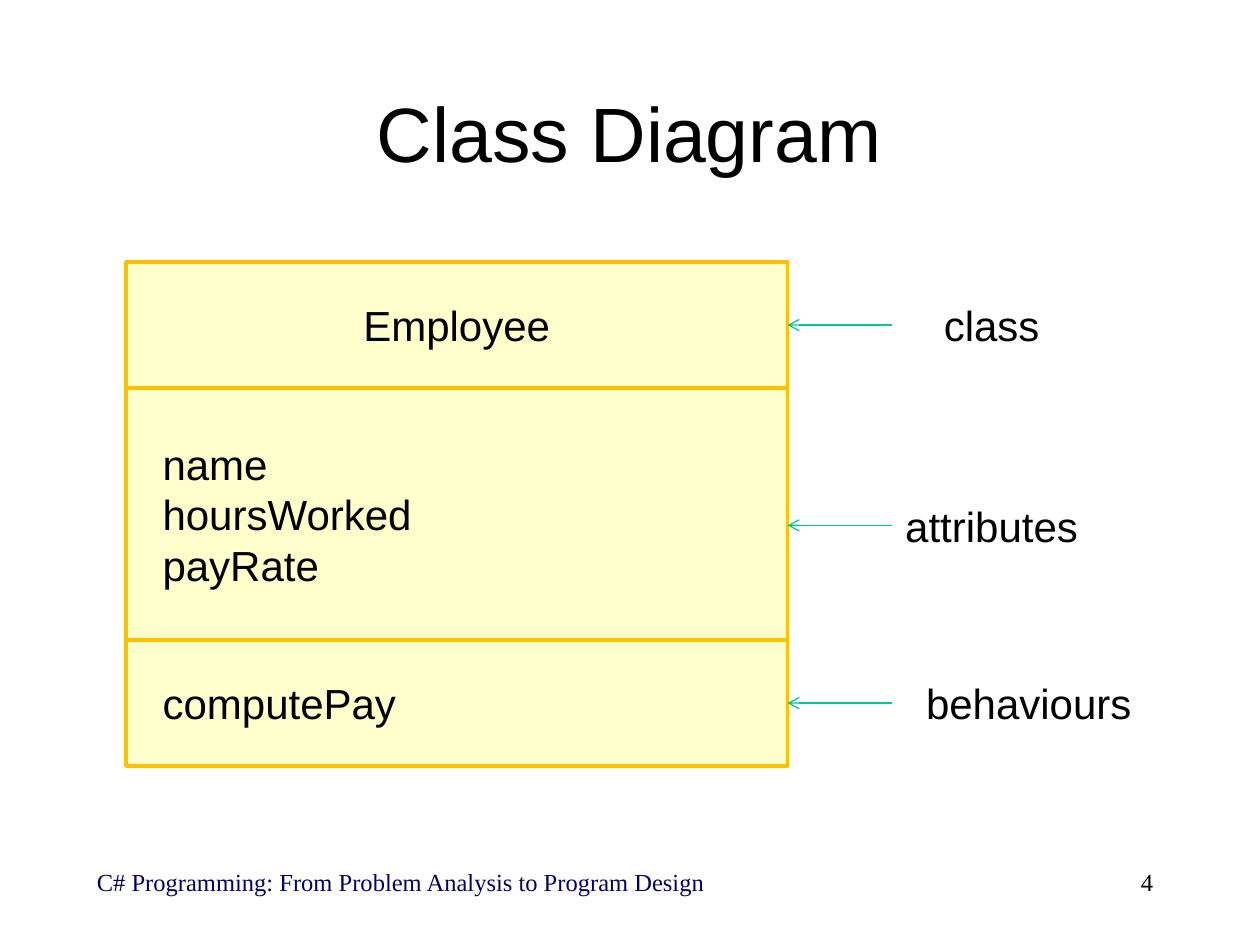
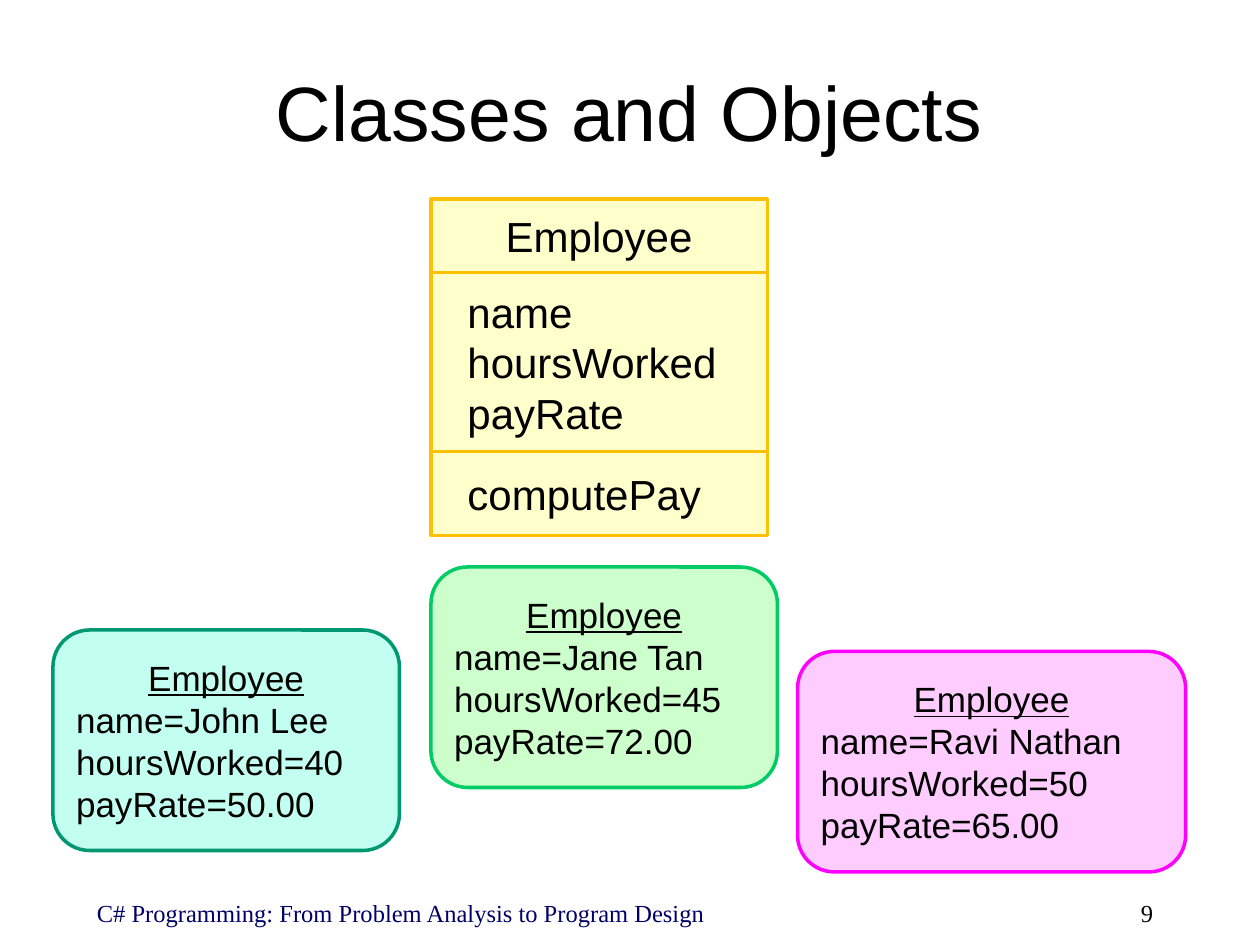
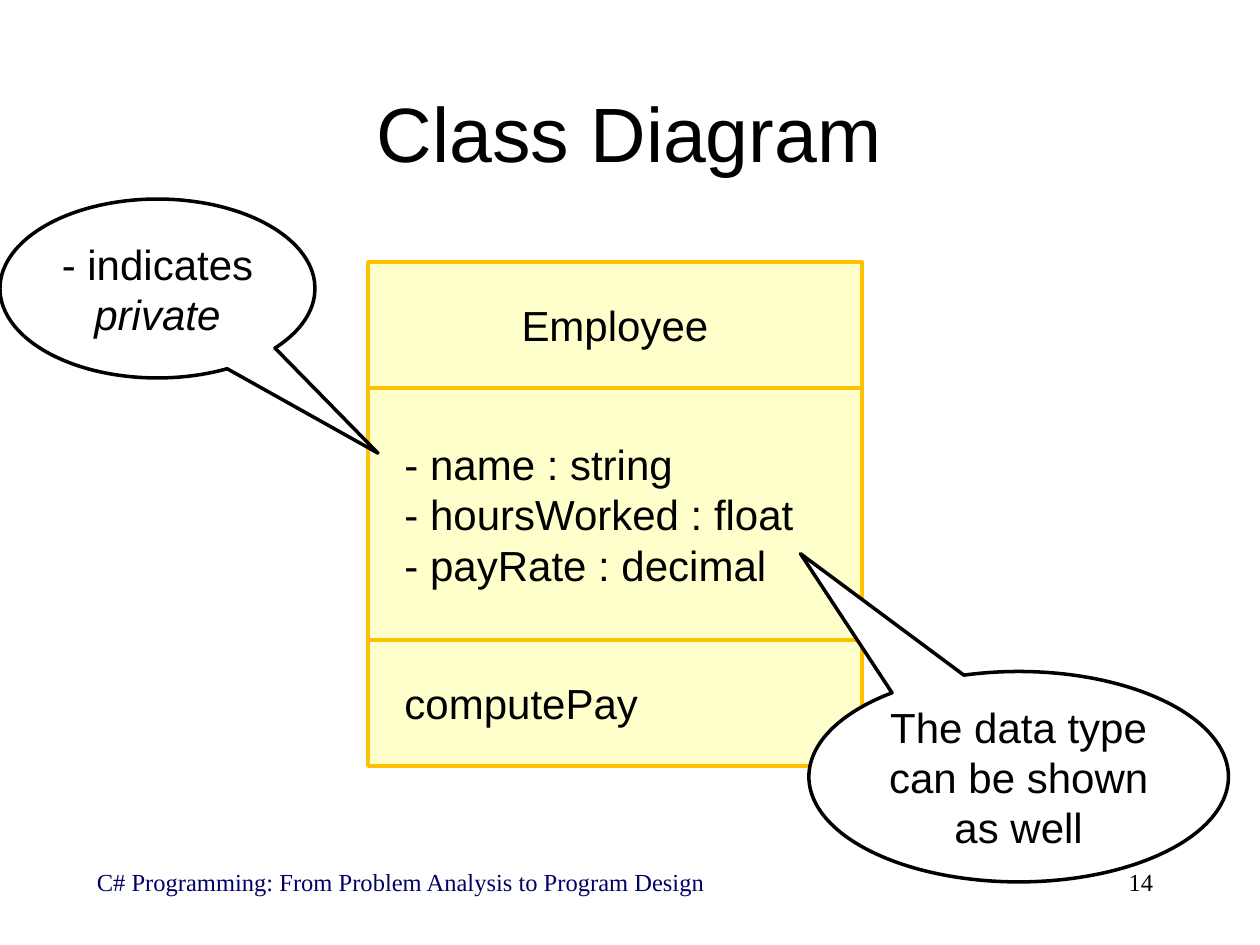
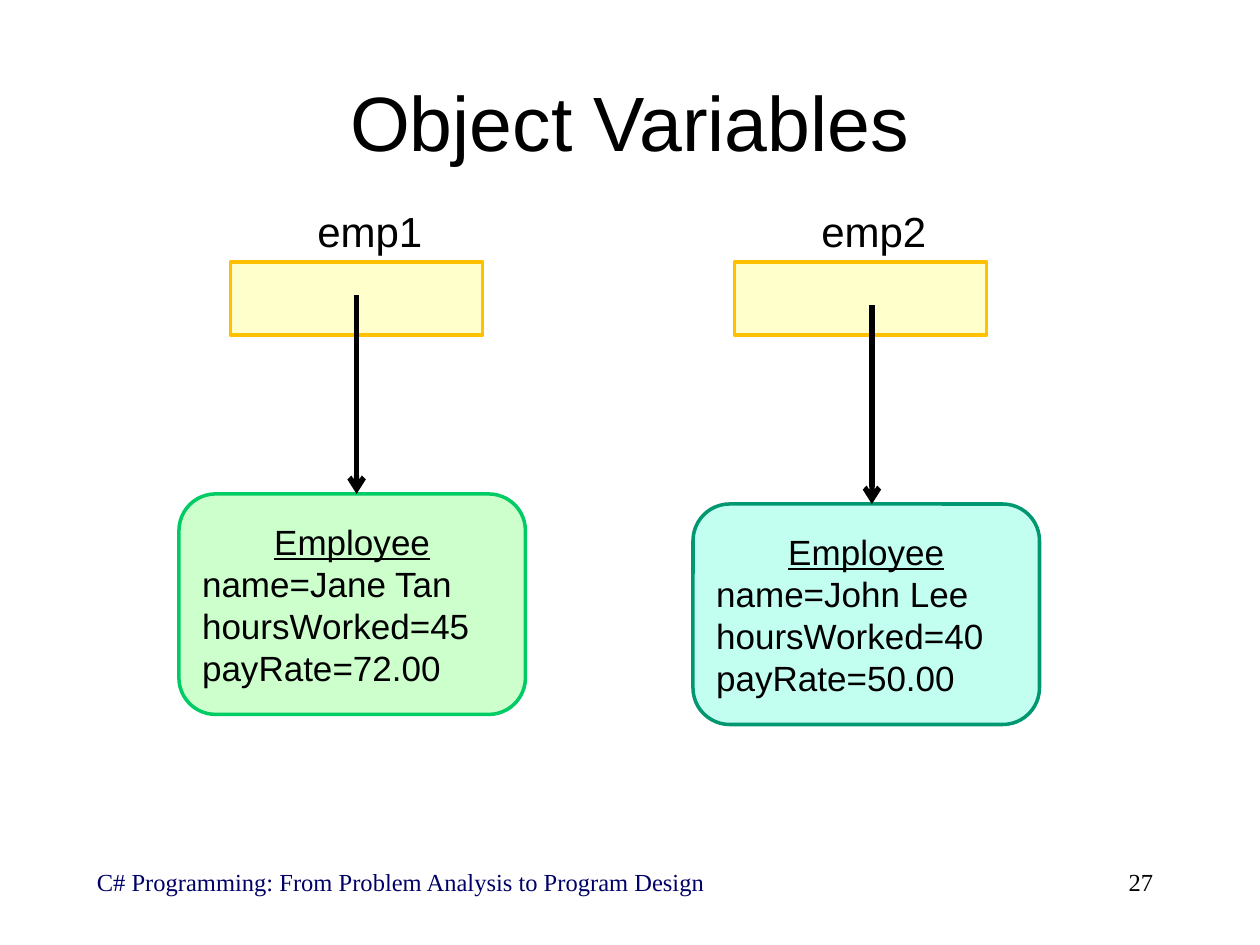
from collections import namedtuple

from pptx import Presentation
from pptx.dml.color import RGBColor
from pptx.enum.shapes import MSO_CONNECTOR, MSO_SHAPE
from pptx.enum.text import MSO_ANCHOR, PP_ALIGN
from pptx.oxml.ns import qn
from pptx.util import Inches, Pt
from lxml.etree import SubElement

BLACK = RGBColor(0x00, 0x00, 0x00)
WHITE = RGBColor(0xFF, 0xFF, 0xFF)
NAVY = RGBColor(0x00, 0x00, 0x66)
CREAM = RGBColor(0xFF, 0xFF, 0xCC)
AMBER = RGBColor(0xFF, 0xC0, 0x00)
JADE = RGBColor(0x00, 0xC8, 0x96)
PALE_TEAL = RGBColor(0xC2, 0xFF, 0xF0)
TEAL = RGBColor(0x00, 0x97, 0x71)
PALE_GREEN = RGBColor(0xCC, 0xFF, 0xCC)
GREEN = RGBColor(0x00, 0xCC, 0x66)
PALE_PINK = RGBColor(0xFF, 0xCC, 0xFF)
MAGENTA = RGBColor(0xFF, 0x00, 0xFF)

BODY_FONT = "Arial"
FOOTER_FONT = "Times New Roman"
FOOTER_TEXT = "C# Programming: From Problem Analysis to Program Design"
TITLE_SIZE, BODY_SIZE, OBJECT_SIZE, FOOTER_SIZE = 44, 24, 20, 14
MEMBER_INSET = 0.29

Box = namedtuple("Box", "left top width height")
Employee = namedtuple("Employee", "name hours rate fill line")

JOHN = Employee("John Lee", "40", "50.00", PALE_TEAL, TEAL)
JANE = Employee("Jane Tan", "45", "72.00", PALE_GREEN, GREEN)
RAVI = Employee("Ravi Nathan", "50", "65.00", PALE_PINK, MAGENTA)

ATTRIBUTES = ["name", "hoursWorked", "payRate"]
TYPED_ATTRIBUTES = ["- name : string", "- hoursWorked : float", "- payRate : decimal"]


def to_inches(box):
    return [Inches(length) for length in box]


def add_run(paragraph, text, size=BODY_SIZE, font=BODY_FONT, color=BLACK,
            underline=None, italic=None):
    run = paragraph.add_run()
    run.text = text
    run.font.size = Pt(size)
    run.font.name = font
    run.font.color.rgb = color
    run.font.underline = underline
    run.font.italic = italic


def add_paragraph(shape, position, alignment):
    """Return the paragraph at position, adding it unless it is the first."""
    frame = shape.text_frame
    paragraph = frame.paragraphs[0] if position == 0 else frame.add_paragraph()
    paragraph.alignment = alignment
    return paragraph


def add_lines(shape, lines, alignment=PP_ALIGN.LEFT, **style):
    for position, line in enumerate(lines):
        add_run(add_paragraph(shape, position, alignment), line, **style)


def add_text(slide, box, text, alignment=PP_ALIGN.LEFT, anchor=MSO_ANCHOR.MIDDLE, **style):
    shape = slide.shapes.add_textbox(*to_inches(box))
    shape.text_frame.word_wrap = True
    shape.text_frame.vertical_anchor = anchor
    add_lines(shape, [text], alignment, **style)


def add_panel(slide, box, fill, line=None, preset=MSO_SHAPE.RECTANGLE):
    shape = slide.shapes.add_shape(preset, *to_inches(box))
    shape.shadow.inherit = False
    shape.fill.solid()
    shape.fill.fore_color.rgb = fill
    if line is None:
        shape.line.fill.background()
    else:
        shape.line.color.rgb = line
        shape.line.width = Pt(2)
    shape.text_frame.word_wrap = True
    shape.text_frame.vertical_anchor = MSO_ANCHOR.MIDDLE
    return shape


def add_arrow(slide, start, end, color, width):
    connector = slide.shapes.add_connector(
        MSO_CONNECTOR.STRAIGHT, *to_inches(start), *to_inches(end))
    connector.line.color.rgb = color
    connector.line.width = Pt(width)
    SubElement(connector.line._get_or_add_ln(), qn("a:tailEnd"), type="arrow")
    SubElement(connector._element.spPr, qn("a:effectLst"))


def add_base_slide(presentation, title, number, title_box=Box(0.33, 0.42, 9.33, 1.25),
                   footer_top=6.83):
    slide = presentation.slides.add_slide(presentation.slide_layouts[6])
    add_text(slide, Box(0.67, footer_top, 5.92, 0.5), FOOTER_TEXT, anchor=MSO_ANCHOR.TOP,
             size=FOOTER_SIZE, font=FOOTER_FONT, color=NAVY)
    add_text(slide, Box(7.17, footer_top, 2.08, 0.5), str(number), PP_ALIGN.RIGHT,
             MSO_ANCHOR.TOP, size=FOOTER_SIZE, font=FOOTER_FONT)
    add_text(slide, title_box, title, PP_ALIGN.CENTER, size=TITLE_SIZE)
    return slide


def add_class_diagram(slide, box, attributes, shares):
    """Stack name, attributes and methods, splitting the height by shares."""
    top = box.top
    sections = [["Employee"], attributes, ["computePay"]]
    for position, (lines, share) in enumerate(zip(sections, shares)):
        height = box.height * share / sum(shares)
        shape = add_panel(slide, Box(box.left, top, box.width, height), CREAM, AMBER)
        if position == 0:
            add_lines(shape, lines, PP_ALIGN.CENTER)
        else:
            shape.text_frame.margin_left = Inches(MEMBER_INSET)
            add_lines(shape, lines)
        top += height


def add_object(slide, left, top, employee, width=2.75):
    shape = add_panel(slide, Box(left, top, width, 1.75), employee.fill, employee.line,
                      MSO_SHAPE.ROUNDED_RECTANGLE)
    add_run(add_paragraph(shape, 0, PP_ALIGN.CENTER), "Employee", OBJECT_SIZE, underline=True)
    values = [employee.name, employee.hours, employee.rate]
    for position, (attribute, value) in enumerate(zip(ATTRIBUTES, values), 1):
        add_run(add_paragraph(shape, position, PP_ALIGN.LEFT),
                f"{attribute}={value}", OBJECT_SIZE)


def add_section_label(slide, box, text, diagram_right):
    shape = add_panel(slide, box, WHITE)
    add_lines(shape, [text], PP_ALIGN.CENTER)
    middle = box.top + box.height / 2
    add_arrow(slide, (box.left, middle), (diagram_right, middle), JADE, 0.75)


def add_callout(slide, box, tip, text, italic_text=None):
    """Draw a speech bubble; tip is its offset from the centre in box sizes."""
    shape = add_panel(slide, box, WHITE, BLACK, MSO_SHAPE.OVAL_CALLOUT)
    shape.adjustments[0], shape.adjustments[1] = tip
    paragraph = add_paragraph(shape, 0, PP_ALIGN.CENTER)
    add_run(paragraph, text)
    if italic_text:
        add_run(paragraph, italic_text, italic=True)


def add_variable(slide, left, top, name):
    add_panel(slide, Box(left, top, 2, 0.58), CREAM, AMBER)
    add_text(slide, Box(left + 0.59, top - 0.58, 1.33, 0.67), name)


def build_labelled_diagram(presentation):
    slide = add_base_slide(presentation, "Class Diagram", 4)
    diagram = Box(1, 2.08, 5.25, 4)
    add_class_diagram(slide, diagram, ATTRIBUTES, (1, 2, 1))
    labels = [("class", 2.08, 1.58), ("attributes", 3.67, 1.58), ("behaviours", 5.08, 2.17)]
    for text, top, width in labels:
        add_section_label(slide, Box(7.08, top, width, 1), text, diagram.left + diagram.width)


def build_classes_and_objects(presentation):
    slide = add_base_slide(presentation, "Classes and Objects", 9,
                           Box(0.33, 0.25, 9.33, 1.25), footer_top=7.08)
    add_object(slide, 0.42, 5, JOHN)
    add_object(slide, 6.33, 5.17, RAVI, width=3.08)
    add_class_diagram(slide, Box(3.42, 1.58, 2.67, 2.67), ATTRIBUTES, (7, 17, 8))
    add_object(slide, 3.42, 4.5, JANE)


def build_typed_diagram(presentation):
    slide = add_base_slide(presentation, "Class Diagram", 14)
    add_class_diagram(slide, Box(2.92, 2.08, 3.92, 4), TYPED_ATTRIBUTES, (1, 2, 1))
    add_callout(slide, Box(6.42, 5.33, 3.33, 1.67), (-0.52, -1.06),
                "The data type can be shown as well")
    add_callout(slide, Box(0, 1.58, 2.5, 1.42), (0.7, 0.92), "- indicates ", "private")


def build_object_variables(presentation):
    slide = add_base_slide(presentation, "Object Variables", 27, Box(0.75, 0.33, 8.5, 1.25))
    references = [("emp1", 1.83, JANE, 1.42, 3.92, 2.83),
                  ("emp2", 5.83, JOHN, 5.5, 4, 6.92)]
    for name, left, employee, object_left, object_top, arrow_x in references:
        add_variable(slide, left, 2.08, name)
        add_object(slide, object_left, object_top, employee)
        add_arrow(slide, (arrow_x, object_top - 1.58), (arrow_x, object_top), BLACK, 3)


def main():
    presentation = Presentation()
    presentation.slide_width = Inches(10)
    presentation.slide_height = Inches(7.5)
    build_labelled_diagram(presentation)
    build_classes_and_objects(presentation)
    build_typed_diagram(presentation)
    build_object_variables(presentation)
    presentation.save("out.pptx")


if __name__ == "__main__":
    main()
